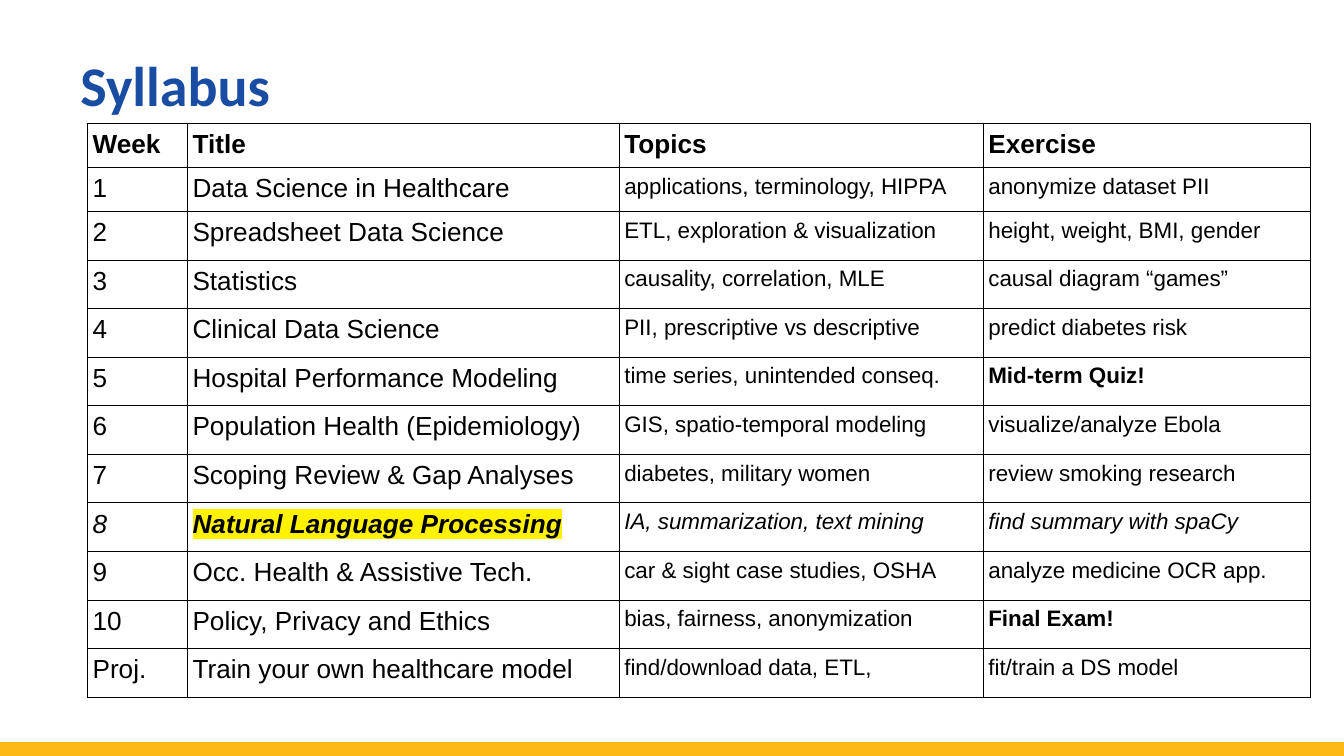
from dataclasses import dataclass

from lxml.etree import SubElement
from pptx import Presentation
from pptx.dml.color import RGBColor as Rgb
from pptx.enum.shapes import MSO_CONNECTOR as Connector
from pptx.enum.text import MSO_ANCHOR as Anchor
from pptx.oxml import parse_xml
from pptx.oxml.ns import nsdecls, qn
from pptx.util import Cm, Pt


@dataclass(frozen=True)
class Theme:
    heading_font: str = "Calibri"
    body_font: str = "Arial"
    heading: str = "184DA3"
    ink: str = "000000"
    highlight: str = "FFF200"
    footer: str = "FDB913"
    heading_size: int = 30
    large: int = 14
    small: int = 12
    rule: float = 0.57


THEME = Theme()

SYLLABUS = [
    ("Week", "Title", "Topics", "Exercise"),
    ("1", "Data Science in Healthcare", "applications, terminology, HIPPA", "anonymize dataset PII"),
    ("2", "Spreadsheet Data Science", "ETL, exploration & visualization", "height, weight, BMI, gender"),
    ("3", "Statistics", "causality, correlation, MLE", "causal diagram “games”"),
    ("4", "Clinical Data Science", "PII, prescriptive vs descriptive", "predict diabetes risk"),
    ("5", "Hospital Performance Modeling", "time series, unintended conseq.", "Mid-term Quiz!"),
    ("6", "Population Health (Epidemiology)", "GIS, spatio-temporal modeling", "visualize/analyze Ebola"),
    ("7", "Scoping Review & Gap Analyses", "diabetes, military women", "review smoking research"),
    ("8", "Natural Language Processing", "IA, summarization, text mining", "find summary with spaCy"),
    ("9", "Occ. Health & Assistive Tech.", "car & sight case studies, OSHA", "analyze medicine OCR app."),
    ("10", "Policy, Privacy and Ethics", "bias, fairness, anonymization", "Final Exam!"),
    ("Proj.", "Train your own healthcare model", "find/download data, ETL,", "fit/train a DS model"),
]
CURRENT_WEEK = "8"
CURRENT_TITLE = "Natural Language Processing"
EXAMS = ("Mid-term Quiz!", "Final Exam!")
COLUMN_SHARES = (1.89, 8.16, 6.88, 6.18)
HEADER_ROWS, SHORT_ROW = 2, 0.82


def add_run(paragraph, text, font, size, color, bold=False, italic=False):
    run = paragraph.add_run()
    run.text = text
    run.font.name = font
    run.font.size = Pt(size)
    run.font.bold = bold
    run.font.italic = italic
    run.font.color.rgb = Rgb.from_string(color)
    return run


def highlight(run, color):
    mark = parse_xml(f'<a:highlight {nsdecls("a")}><a:srgbClr val="{color}"/></a:highlight>')
    run.font._element.find(qn("a:solidFill")).addnext(mark)


def border_cell(cell):
    properties = cell._tc.get_or_add_tcPr()
    for side in ("a:lnL", "a:lnR", "a:lnT", "a:lnB"):
        edge = SubElement(properties, qn(side), w=str(int(Pt(THEME.rule))))
        fill = SubElement(edge, qn("a:solidFill"))
        SubElement(fill, qn("a:srgbClr"), val=THEME.ink)


def add_footer_rule(slide, left, middle, width):
    rule = slide.shapes.add_connector(
        Connector.STRAIGHT, Cm(left), Cm(middle), Cm(left + width), Cm(middle))
    rule.line.color.rgb = Rgb.from_string(THEME.footer)
    rule.line.width = Pt(8)
    SubElement(rule._element.spPr, qn("a:effectLst"))


def add_heading(slide, text, left, top, width, height):
    heading = slide.shapes.add_textbox(Cm(left), Cm(top), Cm(width), Cm(height))
    frame = heading.text_frame
    frame.word_wrap = True
    frame.vertical_anchor = Anchor.TOP
    frame.margin_top = Cm(0.18)
    line = frame.paragraphs[0]
    line.line_spacing = Pt(58)
    add_run(line, text, THEME.heading_font, THEME.heading_size, THEME.heading, bold=True)


def fill_cell(cell, text, is_header, is_current, is_detail):
    """Style one entry; detail columns use the smaller size below the header."""
    cell.margin_left = cell.margin_right = Cm(0.1)
    cell.margin_top = cell.margin_bottom = Cm(0.12)
    border_cell(cell)
    cell.fill.background()
    size = THEME.small if is_detail and not is_header else THEME.large
    bold = is_header or text in EXAMS or text == CURRENT_TITLE
    run = add_run(cell.text_frame.paragraphs[0], text, THEME.body_font, size,
                  THEME.ink, bold, is_current)
    if text == CURRENT_TITLE:
        highlight(run, THEME.highlight)


def add_syllabus(slide, entries, left, top, width, height):
    table = slide.shapes.add_table(len(entries), len(COLUMN_SHARES), Cm(left), Cm(top),
                                   Cm(width), Cm(height)).table
    table.first_row = table.horz_banding = False
    for column, share in zip(table.columns, COLUMN_SHARES):
        column.width = Cm(width * share / sum(COLUMN_SHARES))
    tall_row = (height - HEADER_ROWS * SHORT_ROW) / (len(entries) - HEADER_ROWS)
    for index, (row, entry) in enumerate(zip(table.rows, entries)):
        row.height = Cm(SHORT_ROW if index < HEADER_ROWS else tall_row)
        for position, (cell, text) in enumerate(zip(row.cells, entry)):
            fill_cell(cell, text, index == 0, entry[0] == CURRENT_WEEK, position >= 2)


def main():
    deck = Presentation()
    deck.slide_width, deck.slide_height = Cm(25.4), Cm(14.29)
    slide = deck.slides.add_slide(deck.slide_layouts[6])
    add_footer_rule(slide, 0, 14.17, 25.4)
    add_heading(slide, "Syllabus", 1.27, 0, 22.86, 3.33)
    add_syllabus(slide, SYLLABUS, 1.65, 2.33, 23.11, 10.82)
    deck.save("out.pptx")


if __name__ == "__main__":
    main()
